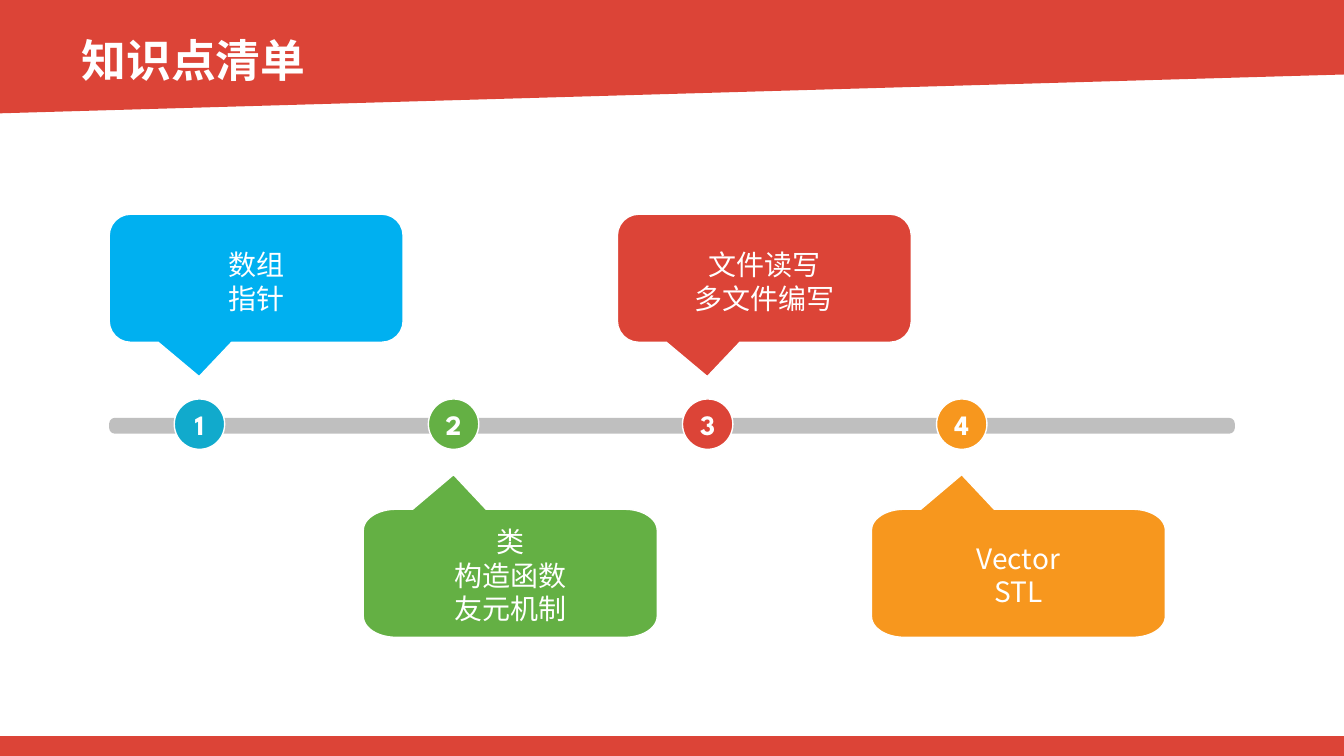
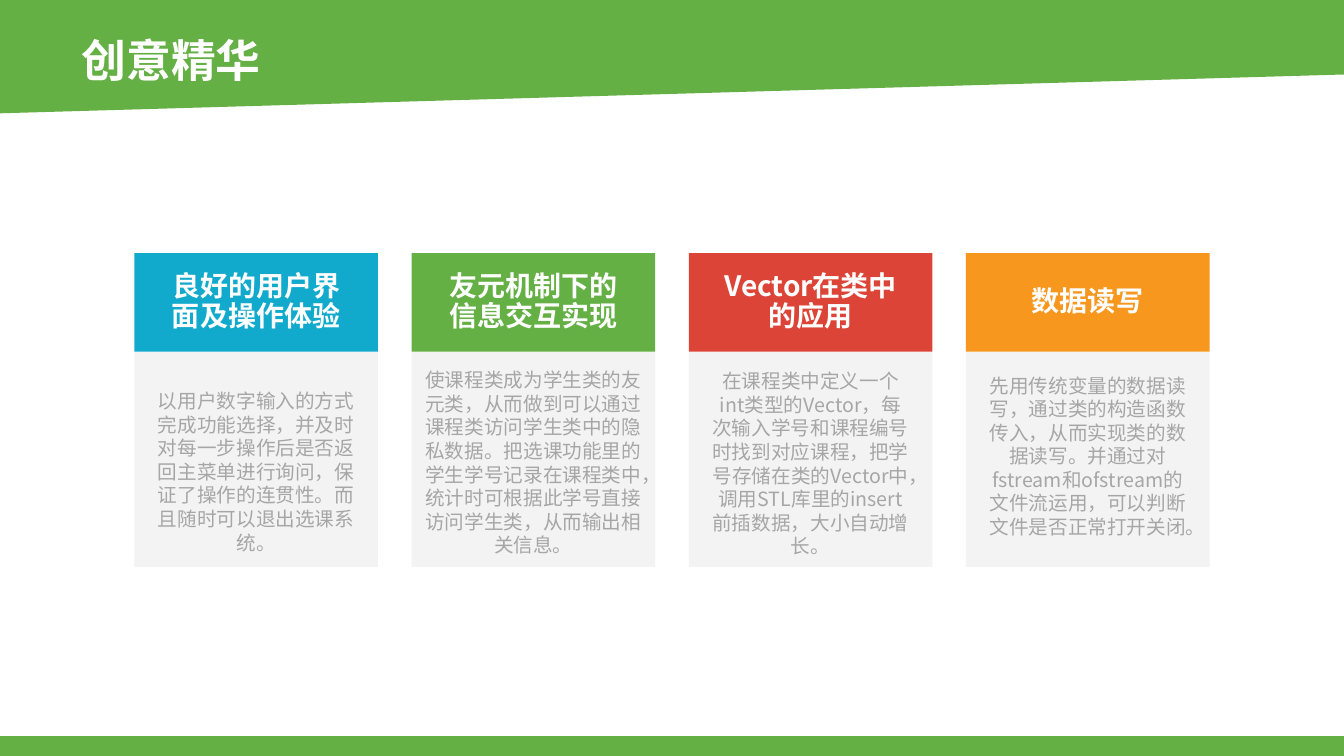
from dataclasses import dataclass
from math import cos, pi, sin

from lxml.etree import SubElement
from pptx import Presentation
from pptx.dml.color import RGBColor
from pptx.enum.shapes import MSO_SHAPE
from pptx.enum.text import MSO_ANCHOR, MSO_AUTO_SIZE, PP_ALIGN
from pptx.oxml.ns import qn
from pptx.util import Emu, Pt


@dataclass(frozen=True)
class Theme:
    red: str = "DC4437"
    green: str = "64B044"
    teal: str = "11AACC"
    sky: str = "00B0F0"
    orange: str = "F7971E"
    white: str = "FFFFFF"
    track: str = "BFBFBF"
    panel: str = "F2F2F2"
    muted: str = "A6A6A6"
    title_font: str = "Noto Sans CJK JP"
    body_font: str = "Noto Sans CJK SC"
    number_font: str = "League Spartan"
    title_size: int = 32
    label_size: int = 20
    body_size: int = 14


THEME = Theme()
WIDTH, HEIGHT = 1280, 720
EMU_PER_PX = 9525

DOT_LEFT, DOT_TOP, DOT_SIZE, DOT_STEP = 166, 380, 48, 242
CALLOUT_WIDTH, CALLOUT_HEIGHT, TIP_HEIGHT = 280, 122, 33
TIP_X, TIP_BASE = 86, (47, 117)
CALLOUT_INDENT = TIP_X - DOT_SIZE // 2
UPPER_TOP, LOWER_TOP = 204, 452

CARD_LEFT, CARD_TOP, CARD_WIDTH, CARD_STEP = 128, 241, 232, 264
HEADER_HEIGHT, PANEL_HEIGHT = 94, 205

MILESTONES = [
    (THEME.teal, THEME.sky, ["数组", "指针"]),
    (THEME.green, THEME.green, ["类", "构造函数", "友元机制"]),
    (THEME.red, THEME.red, ["文件读写", "多文件编写"]),
    (THEME.orange, THEME.orange, ["Vector", "STL"]),
]

CARDS = [
    (THEME.teal, "良好的用户界面及操作体验", 366, 207,
     "以用户数字输入的方式完成功能选择，并及时对每一步操作后是否返回主菜单进行询问，"
     "保证了操作的连贯性。而且随时可以退出选课系统。"),
    (THEME.green, "友元机制下的信息交互实现", 346, 232,
     "使课程类成为学生类的友元类，从而做到可以通过课程类访问学生类中的隐私数据。"
     "把选课功能里的学生学号记录在课程类中，统计时可根据此学号直接访问学生类，从而输出相关信息。"),
    (THEME.red, "Vector在类中的应用", 347, 207,
     "在课程类中定义一个int类型的Vector，每次输入学号和课程编号时找到对应课程，"
     "把学号存储在类的Vector中，调用STL库里的insert前插数据，大小自动增长。"),
    (THEME.orange, "数据读写", 351, 219,
     "先用传统变量的数据读写，通过类的构造函数传入，从而实现类的数据读写。"
     "并通过对fstream和ofstream的文件流运用，可以判断文件是否正常打开关闭。"),
]


def px(n):
    return Emu(round(n * EMU_PER_PX))


def paint(sp, color, outline=None):
    sp.shadow.inherit = False
    sp.fill.solid()
    sp.fill.fore_color.rgb = RGBColor.from_string(color)
    if outline:
        sp.line.color.rgb = RGBColor.from_string(outline)
        sp.line.width = Pt(1)
    else:
        sp.line.fill.background()
    return sp


def add_block(slide, kind, box, color, outline=None):
    return paint(slide.shapes.add_shape(kind, *map(px, box)), color, outline)


def add_outline(slide, points, color, outline=None):
    start, *rest = [(px(x), px(y)) for x, y in points]
    builder = slide.shapes.build_freeform(*start)
    builder.add_line_segments(rest, close=True)
    return paint(builder.convert_to_shape(), color, outline)


def write(sp, lines, size, font, color=THEME.white, bold=False,
          align=PP_ALIGN.CENTER, anchor=MSO_ANCHOR.MIDDLE, spacing=None, margins=None):
    tf = sp.text_frame
    tf.text = "\n".join(lines)
    tf.word_wrap = True
    tf.auto_size = MSO_AUTO_SIZE.NONE
    tf.vertical_anchor = anchor
    if margins:
        tf.margin_left, tf.margin_top, tf.margin_right, tf.margin_bottom = map(px, margins)
    for p in tf.paragraphs:
        p.alignment = align
        p.line_spacing = spacing
        for r in p.runs:
            r.font.size = Pt(size)
            r.font.bold = bold
            r.font.name = font
            r.font.color.rgb = RGBColor.from_string(color)
            SubElement(r.font._element, qn("a:ea"), typeface=font)


def add_slide(prs, title, color):
    slide = prs.slides.add_slide(prs.slide_layouts[5])
    add_outline(slide, [(0, 0), (WIDTH, 0), (WIDTH, 71), (-2, 108)], color)
    add_block(slide, MSO_SHAPE.RECTANGLE, (0, 701, WIDTH, HEIGHT - 701), color)
    sp = slide.shapes.title
    sp.left, sp.top, sp.width, sp.height = map(px, (68, 26, 600, 61))
    write(sp, [title], THEME.title_size, THEME.title_font, bold=True, align=PP_ALIGN.LEFT)
    slide.shapes.element.append(sp.element)
    return slide


def add_upper_callout(slide, left, color, lines):
    box = (left, UPPER_TOP, CALLOUT_WIDTH, CALLOUT_HEIGHT)
    sp = add_block(slide, MSO_SHAPE.ROUNDED_RECTANGULAR_CALLOUT, box, color, THEME.white)
    for i, value in enumerate((-0.194, 0.768, 0.167)):
        sp.adjustments[i] = value
    write(sp, lines, THEME.label_size, THEME.body_font, margins=(0, 6, 0, 0))


def add_lower_callout(slide, left, color, lines):
    rx, ry, steps = 31, 20, 12
    top = LOWER_TOP + TIP_HEIGHT
    right, bottom = left + CALLOUT_WIDTH, top + CALLOUT_HEIGHT
    points = [(left + TIP_BASE[0], top), (left + TIP_X, LOWER_TOP), (left + TIP_BASE[1], top)]
    corners = [(right - rx, top + ry), (right - rx, bottom - ry),
               (left + rx, bottom - ry), (left + rx, top + ry)]
    for quarter, (cx, cy) in enumerate(corners):
        for step in range(steps + 1):
            angle = (quarter - 1 + step / steps) * pi / 2
            points.append((cx + rx * cos(angle), cy + ry * sin(angle)))
    sp = add_outline(slide, points, color, THEME.white)
    write(sp, lines, THEME.label_size, THEME.body_font, margins=(0, TIP_HEIGHT + 3, 0, 0))


def add_dot(slide, left, color, number):
    sp = add_block(slide, MSO_SHAPE.OVAL, (left, DOT_TOP, DOT_SIZE, DOT_SIZE), color, THEME.white)
    write(sp, [str(number)], THEME.label_size, THEME.number_font, bold=True, margins=(0, 5, 0, 5))


def add_card(slide, left, color, heading, text_top, text_width, body):
    panel_top = CARD_TOP + HEADER_HEIGHT
    panel = add_block(slide, MSO_SHAPE.RECTANGLE,
                      (left, panel_top, CARD_WIDTH, PANEL_HEIGHT), THEME.panel)
    rgb = panel.element.spPr.find(qn("a:solidFill")).find(qn("a:srgbClr"))
    SubElement(rgb, qn("a:alpha"), val="90000")

    text_left = left + (CARD_WIDTH - text_width) / 2
    text_height = panel_top + PANEL_HEIGHT - text_top
    text = slide.shapes.add_textbox(*map(px, (text_left, text_top, text_width, text_height)))
    write(text, [body], THEME.body_size, THEME.body_font, THEME.muted, anchor=MSO_ANCHOR.TOP)

    header = add_block(slide, MSO_SHAPE.RECTANGLE,
                       (left, CARD_TOP, CARD_WIDTH, HEADER_HEIGHT), color)
    write(header, [heading], THEME.label_size, THEME.body_font, bold=True,
          spacing=0.9, margins=(27, 15, 27, 15))


def build_timeline(prs):
    slide = add_slide(prs, "知识点清单", THEME.red)
    track = add_block(slide, MSO_SHAPE.ROUNDED_RECTANGLE, (104, 398, 1072, 15), THEME.track)
    track.adjustments[0] = 0.35
    for i, (dot_color, callout_color, lines) in enumerate(MILESTONES):
        left = DOT_LEFT + i * DOT_STEP
        add_dot(slide, left, dot_color, i + 1)
        add_callout = add_lower_callout if i % 2 else add_upper_callout
        add_callout(slide, left - CALLOUT_INDENT, callout_color, lines)


def build_cards(prs):
    slide = add_slide(prs, "创意精华", THEME.green)
    for i, card in enumerate(CARDS):
        add_card(slide, CARD_LEFT + i * CARD_STEP, *card)


def main():
    prs = Presentation()
    prs.slide_width, prs.slide_height = px(WIDTH), px(HEIGHT)
    build_timeline(prs)
    build_cards(prs)
    prs.save("out.pptx")


if __name__ == "__main__":
    main()
